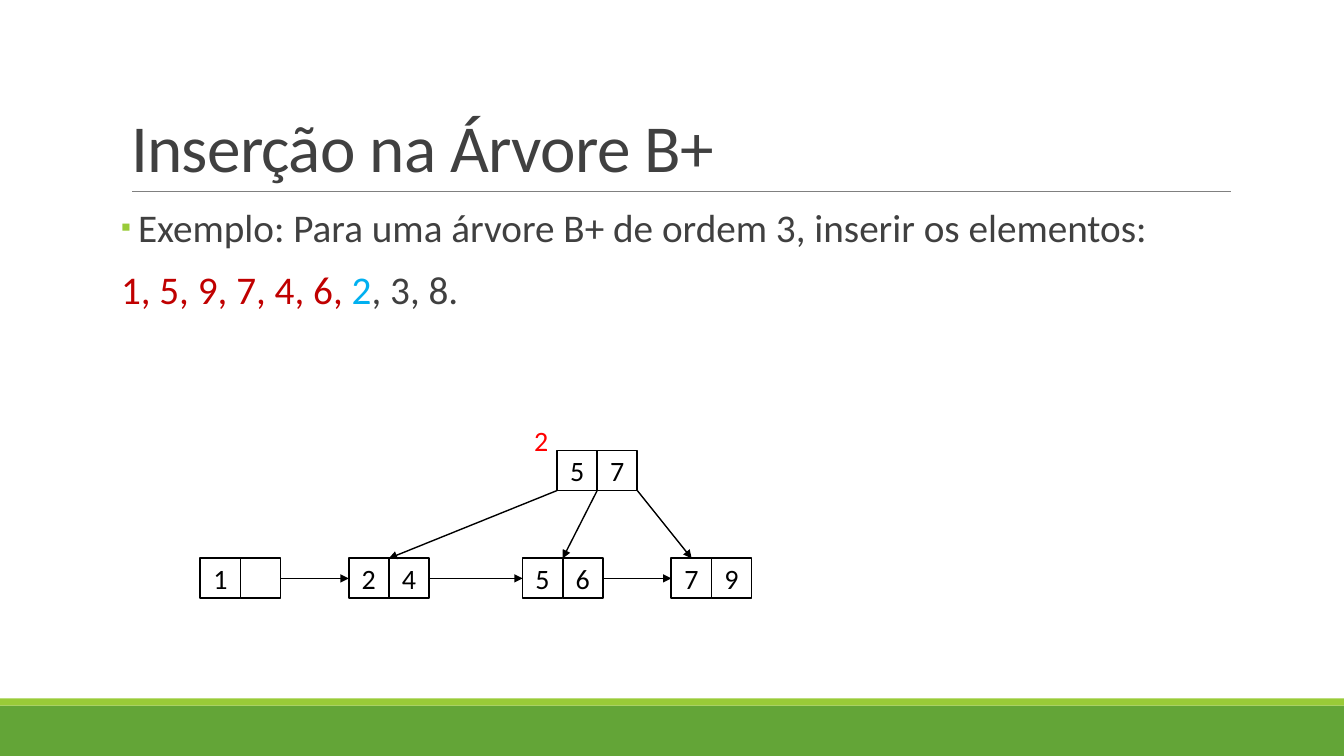
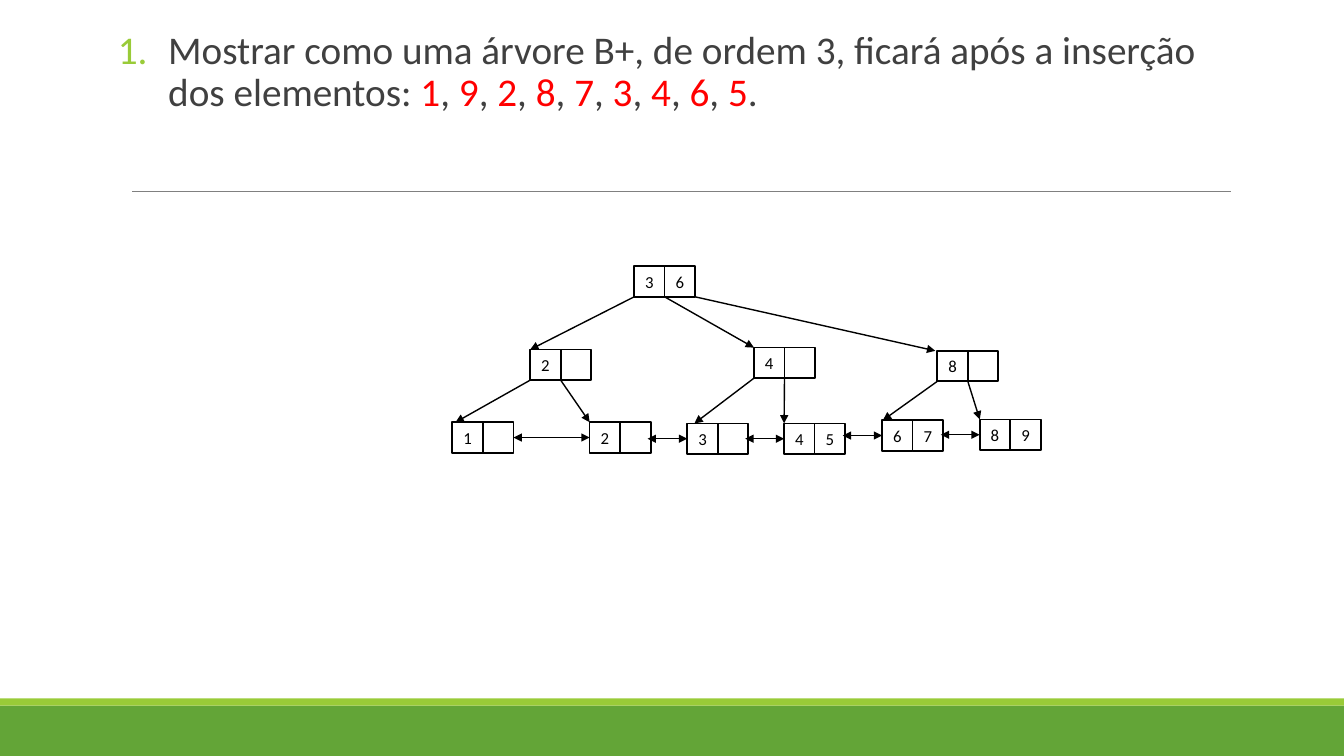
import lxml.etree
import pptx
import pptx.dml.color
import pptx.enum.shapes
import pptx.enum.text
import pptx.oxml
import pptx.oxml.ns
import pptx.util

Cm, Pt = pptx.util.Cm, pptx.util.Pt
RGBColor = pptx.dml.color.RGBColor
qn = pptx.oxml.ns.qn
RECTANGLE = pptx.enum.shapes.MSO_SHAPE.RECTANGLE
STRAIGHT = pptx.enum.shapes.MSO_CONNECTOR.STRAIGHT
ANCHOR = pptx.enum.text.MSO_ANCHOR
ALIGN = pptx.enum.text.PP_ALIGN

# Shared look
FONT = "Calibri"
GREEN = RGBColor(0x63, 0xA5, 0x37)
LIME = RGBColor(0x99, 0xCB, 0x38)
RULE_GRAY = RGBColor(0x80, 0x80, 0x80)
TEXT_GRAY = RGBColor(0x40, 0x40, 0x40)
BLACK = RGBColor(0, 0, 0)
WHITE = RGBColor(0xFF, 0xFF, 0xFF)
RED = RGBColor(0xFF, 0, 0)
DARK_RED = RGBColor(0xC0, 0, 0)
BLUE = RGBColor(0, 0xB0, 0xF0)
SLIDE_WIDTH, SLIDE_HEIGHT = 33.87, 19.05
BANDS = [(17.78, 1.27, GREEN), (17.6, 0.18, LIME)]  # top, height, colour

# Content: paragraphs are (bullet kind, indent, runs); lengths in cm
INSERTION_TITLE = "Inserção na Árvore B+"
INSERTION_TEXT = [
    ("square", 0.43, [("Exemplo: Para uma árvore B+ de ordem 3, inserir os elementos:", TEXT_GRAY)]),
    (None, 0, [("1, 5, 9, 7, 4, 6, ", DARK_RED), ("2", BLUE), (", 3, 8.", TEXT_GRAY)]),
]
EXERCISE_INTRO = "Mostrar como uma árvore B+, de ordem 3, ficará após a inserção dos elementos: "
EXERCISE_KEYS = "192873465"

# nodes: name -> (left, top, keys)
# pointers: (parent, slot, child, landing offset); links: (left leaf, right leaf, overlap)
INSERTION_TREE = {
    "cell": 1.01,
    "size": 20,
    "two_way": False,
    "nodes": {
        "root": (14.04, 11.35, ["5", "7"]),
        "leaf 1": (5.05, 14.07, ["1", ""]),
        "leaf 2": (8.79, 14.07, ["2", "4"]),
        "leaf 5": (13.17, 14.07, ["5", "6"]),
        "leaf 7": (16.92, 14.07, ["7", "9"]),
    },
    "pointers": [("root", 0, "leaf 2", 1.01), ("root", 1, "leaf 5", 1.01),
                 ("root", 2, "leaf 7", 0.51)],
    "links": [("leaf 1", "leaf 2", 0), ("leaf 2", "leaf 5", 0), ("leaf 5", "leaf 7", 0)],
}
EXERCISE_TREE = {
    "cell": 0.77,
    "size": 12,
    "two_way": True,
    "nodes": {
        "root": (15.98, 6.71, ["3", "6"]),
        "inner 2": (13.36, 8.81, ["2", ""]),
        "inner 4": (19.0, 8.76, ["4", ""]),
        "inner 8": (23.62, 8.84, ["8", ""]),
        "leaf 1": (11.4, 10.64, ["1", ""]),
        "leaf 2": (14.86, 10.64, ["2", ""]),
        "leaf 3": (17.32, 10.67, ["3", ""]),
        "leaf 4": (19.76, 10.67, ["4", "5"]),
        "leaf 6": (22.23, 10.59, ["6", "7"]),
        "leaf 8": (24.69, 10.57, ["8", "9"]),
    },
    "pointers": [
        ("root", 0, "inner 2", 0), ("root", 1, "inner 4", 0), ("root", 2, "inner 8", -0.05),
        ("inner 2", 0, "leaf 1", 0.08), ("inner 2", 1, "leaf 2", 0),
        ("inner 4", 0, "leaf 3", 0.18), ("inner 4", 1, "leaf 4", 0),
        ("inner 8", 0, "leaf 6", 0.02), ("inner 8", 1, "leaf 8", 0),
    ],
    "links": [("leaf 1", "leaf 2", 0), ("leaf 2", "leaf 3", 0.08), ("leaf 3", "leaf 4", 0.08),
              ("leaf 4", "leaf 6", 0.06), ("leaf 6", "leaf 8", 0.06)],
}


def place(shape, left, top, width, height):
    shape.left, shape.top, shape.width, shape.height = Cm(left), Cm(top), Cm(width), Cm(height)


def add_run(paragraph, text, size, color):
    run = paragraph.add_run()
    run.text = text
    run.font.name, run.font.size, run.font.color.rgb = FONT, Pt(size), color
    return run


def add_box(shapes, left, top, width, height, fill):
    box = shapes.add_shape(RECTANGLE, Cm(left), Cm(top), Cm(width), Cm(height))
    box.shadow.inherit = False
    box.fill.solid()
    box.fill.fore_color.rgb = fill
    box.line.fill.background()
    return box


def add_line(slide, start, end, color, width, arrow_ends=()):
    points = [Cm(value) for value in (*start, *end)]
    line = slide.shapes.add_connector(STRAIGHT, *points)
    line.line.color.rgb, line.line.width = color, Pt(width)
    outline = line.line._get_or_add_ln()
    for arrow_end in arrow_ends:
        lxml.etree.SubElement(outline, qn("a:" + arrow_end), type="triangle")
    lxml.etree.SubElement(line.element.spPr, qn("a:effectLst"))
    return line


def build_master(slide):
    """Draw the bands and the title rule, then move them to the master."""
    parts = [add_box(slide.shapes, 0, top, SLIDE_WIDTH, height, color)
             for top, height, color in BANDS]
    parts.append(add_line(slide, (3.33, 4.83), (31.01, 4.83), RULE_GRAY, 0.5))
    master_tree = slide.slide_layout.slide_master.shapes.element
    for number, part in enumerate(parts, start=101):
        part.element.xpath("./*/p:cNvPr")[0].set("id", str(number))
        master_tree.append(part.element)


def fill_title(slide, text):
    title = slide.shapes.title
    place(title, 3.05, 0.79, 27.94, 4.04)
    frame = title.text_frame
    frame.auto_size = pptx.enum.text.MSO_AUTO_SIZE.NONE
    frame.vertical_anchor = ANCHOR.BOTTOM
    paragraph = frame.paragraphs[0]
    paragraph.alignment, paragraph.line_spacing = ALIGN.LEFT, 0.85
    run = add_run(paragraph, text, 48, TEXT_GRAY)
    run.font._element.set("spc", "-50")


def set_bullet(paragraph, kind, indent):
    properties = paragraph._p.get_or_add_pPr()
    properties.set("marL", str(Cm(indent)))
    properties.set("indent", str(-Cm(indent)))
    if kind is None:
        lxml.etree.SubElement(properties, qn("a:buNone"))
        return
    color = lxml.etree.SubElement(properties, qn("a:buClr"))
    lxml.etree.SubElement(color, qn("a:srgbClr"), val=str(LIME))
    if kind == "square":
        lxml.etree.SubElement(properties, qn("a:buSzPct"), val="71000")
    lxml.etree.SubElement(properties, qn("a:buFont"), typeface=FONT)
    if kind == "square":
        lxml.etree.SubElement(properties, qn("a:buChar"), char="▪")
    else:
        lxml.etree.SubElement(properties, qn("a:buAutoNum"), type="arabicPeriod")


def fill_body(slide, box, paragraphs):
    body = slide.placeholders[1]
    place(body, *box)
    frame = body.text_frame
    frame.auto_size = pptx.enum.text.MSO_AUTO_SIZE.NONE
    frame.margin_left = frame.margin_right = 0
    for index, (kind, indent, runs) in enumerate(paragraphs):
        paragraph = frame.add_paragraph() if index else frame.paragraphs[0]
        set_bullet(paragraph, kind, indent)
        paragraph.line_spacing = 0.9
        paragraph.space_before, paragraph.space_after = Pt(12 if index else 0), Pt(2)
        for text, color in runs:
            add_run(paragraph, text, 28, color)


def draw_tree(slide, tree):
    cell, nodes = tree["cell"], tree["nodes"]

    # Nodes: one group of key cells each
    for left, top, keys in nodes.values():
        group = slide.shapes.add_group_shape()
        for index, key in enumerate(keys):
            box = add_box(group.shapes, left + index * cell, top, cell, cell, WHITE)
            box.line.color.rgb, box.line.width = BLACK, Pt(1.25)
            if key:
                frame = box.text_frame
                frame.margin_left = frame.margin_right = 0
                frame.margin_top = frame.margin_bottom = 0
                frame.vertical_anchor = ANCHOR.MIDDLE
                frame.paragraphs[0].alignment = ALIGN.CENTER
                add_run(frame.paragraphs[0], key, tree["size"], BLACK)

    # Pointers: from a slot under the parent to the top of the child
    for parent, slot, child, landing in tree["pointers"]:
        start = (nodes[parent][0] + slot * cell, nodes[parent][1] + cell)
        end = (nodes[child][0] + landing, nodes[child][1])
        add_line(slide, start, end, BLACK, 1, ["tailEnd"])

    # Links between neighbouring leaves
    link_ends = ["headEnd", "tailEnd"] if tree["two_way"] else ["tailEnd"]
    for first, second, overlap in tree["links"]:
        middle = nodes[second][1] + cell / 2
        start = (nodes[first][0] + 2 * cell - overlap, middle)
        add_line(slide, start, (nodes[second][0], middle), BLACK, 1, link_ends)


def build_insertion(slide):
    fill_title(slide, INSERTION_TITLE)
    fill_body(slide, (3.05, 5.13, 27.94, 11.18), INSERTION_TEXT)
    draw_tree(slide, INSERTION_TREE)
    # Key that moves up to the root
    label = slide.shapes.add_textbox(Cm(13.21), Cm(10.54), Cm(0.86), Cm(1.12))
    label.text_frame.word_wrap = False
    add_run(label.text_frame.paragraphs[0], "2", 20, RED)


def build_exercise(slide):
    title = slide.shapes.title.element
    title.getparent().remove(title)
    runs = [(EXERCISE_INTRO, TEXT_GRAY)]
    for index, key in enumerate(EXERCISE_KEYS, start=1):
        separator = ", " if index < len(EXERCISE_KEYS) else "."
        runs += [(key, RED), (separator, TEXT_GRAY)]
    fill_body(slide, (2.97, 0.64, 27.94, 2.9), [("number", 1.27, runs)])
    draw_tree(slide, EXERCISE_TREE)


def main():
    presentation = pptx.Presentation()
    presentation.slide_width, presentation.slide_height = Cm(SLIDE_WIDTH), Cm(SLIDE_HEIGHT)
    layout = presentation.slide_layouts[1]
    insertion = presentation.slides.add_slide(layout)
    build_master(insertion)
    build_insertion(insertion)
    build_exercise(presentation.slides.add_slide(layout))
    presentation.save("out.pptx")


if __name__ == "__main__":
    main()
